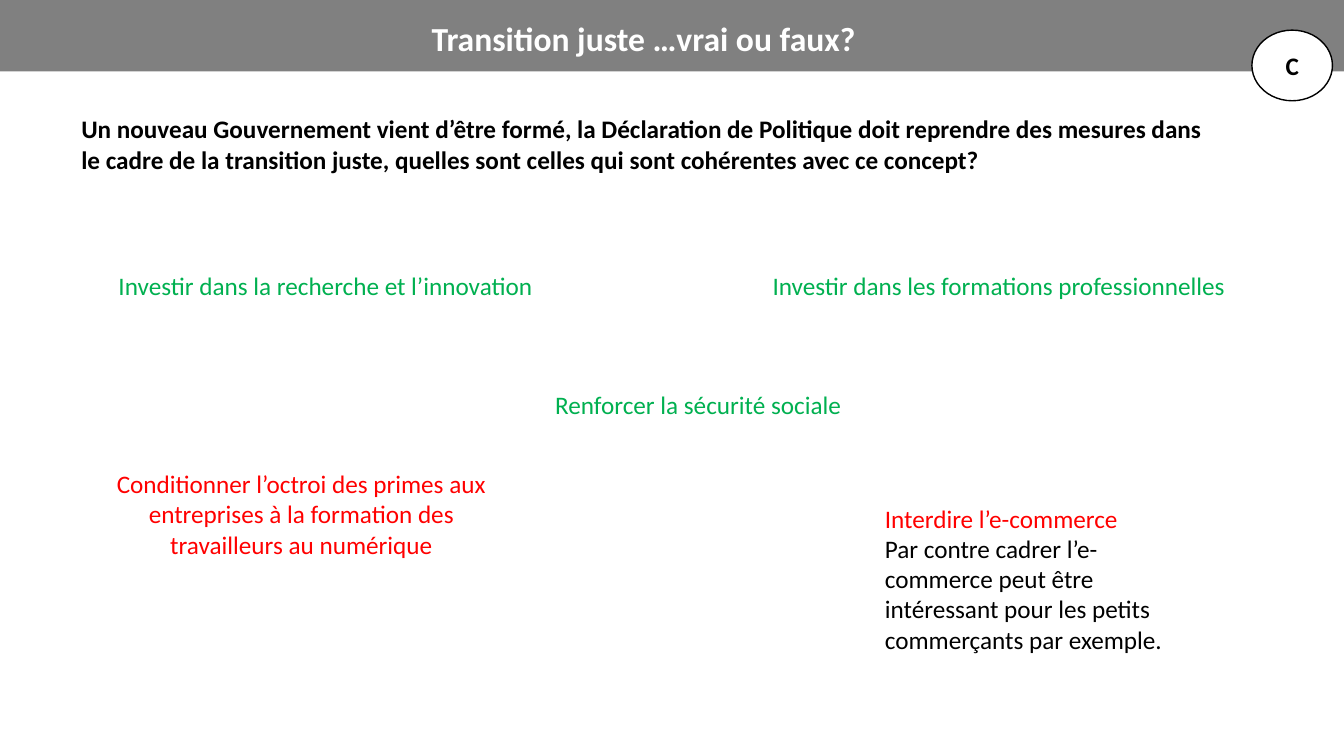
from pptx import Presentation
from pptx.dml.color import RGBColor
from pptx.enum.shapes import MSO_SHAPE
from pptx.enum.text import MSO_ANCHOR, PP_ALIGN
from pptx.util import Cm, Pt

WIDE, HIGH = 33.87, 19.05
BLACK, WHITE, GRAY = "000000", "FFFFFF", "808080"
GREEN, RED = "00B050", "FF0000"
LEFT, MID = PP_ALIGN.LEFT, PP_ALIGN.CENTER
BOLD = {"bold": True}
TITLE = {"bold": True, "size": Pt(24)}

# box in cm, alignment, font format, paragraphs as (text, colour)
TEXTS = [
    ((8.31, 0.33, 15.82, 1.27), MID, TITLE,
     [("Transition juste …vrai ou faux?", WHITE)]),
    ((1.8, 2.74, 29.34, 1.8), LEFT, BOLD,
     [("Un nouveau Gouvernement vient d’être formé, la Déclaration de Politique "
       "doit reprendre des mesures dans le cadre de la transition juste, quelles "
       "sont celles qui sont cohérentes avec ce concept?", BLACK)]),
    ((2.67, 6.68, 11.07, 1.02), MID, {},
     [("Investir dans la recherche et l’innovation", GREEN)]),
    ((18.97, 6.68, 12.4, 1.02), MID, {},
     [("Investir dans les formations professionnelles", GREEN)]),
    ((13.74, 9.68, 8.92, 1.02), LEFT, {},
     [("Renforcer la sécurité sociale", GREEN)]),
    ((2.54, 11.68, 10.11, 2.57), MID, {},
     [("Conditionner l’octroi des primes aux entreprises à la formation des "
       "travailleurs au numérique", RED)]),
    ((22.05, 12.55, 8.56, 4.1), LEFT, {},
     [("Interdire l’e-commerce", RED),
      ("Par contre cadrer l’e-commerce peut être intéressant pour les petits "
       "commerçants par exemple.", BLACK)]),
]
BAR = (0, 0, WIDE, 1.8)
BADGE = (31.55, 0.76, 2.03, 1.78)


def paint(target, color):
    target.rgb = RGBColor.from_string(color)


def write(frame, align, style, lines):
    frame.word_wrap = True
    for i, (text, color) in enumerate(lines):
        para = frame.add_paragraph() if i else frame.paragraphs[0]
        para.alignment = align
        run = para.add_run()
        run.text = text
        look = {"name": "Calibri", "size": Pt(18), "bold": False, **style}
        for key, value in look.items():
            setattr(run.font, key, value)
        paint(run.font.color, color)


def draw(slide, kind, box, color):
    shape = slide.shapes.add_shape(kind, *map(Cm, box))
    shape.shadow.inherit = False
    shape.fill.solid()
    paint(shape.fill.fore_color, color)
    return shape


def main():
    deck = Presentation()
    deck.slide_width, deck.slide_height = Cm(WIDE), Cm(HIGH)
    slide = deck.slides.add_slide(deck.slide_layouts[6])

    bar = draw(slide, MSO_SHAPE.RECTANGLE, BAR, GRAY)
    bar.line.fill.background()

    badge = draw(slide, MSO_SHAPE.OVAL, BADGE, WHITE)
    paint(badge.line.color, BLACK)
    badge.line.width = Pt(1)
    badge.text_frame.vertical_anchor = MSO_ANCHOR.MIDDLE
    write(badge.text_frame, MID, BOLD, [("C", BLACK)])

    for box, align, style, lines in TEXTS:
        label = slide.shapes.add_textbox(*map(Cm, box))
        write(label.text_frame, align, style, lines)

    deck.save("out.pptx")


if __name__ == "__main__":
    main()
